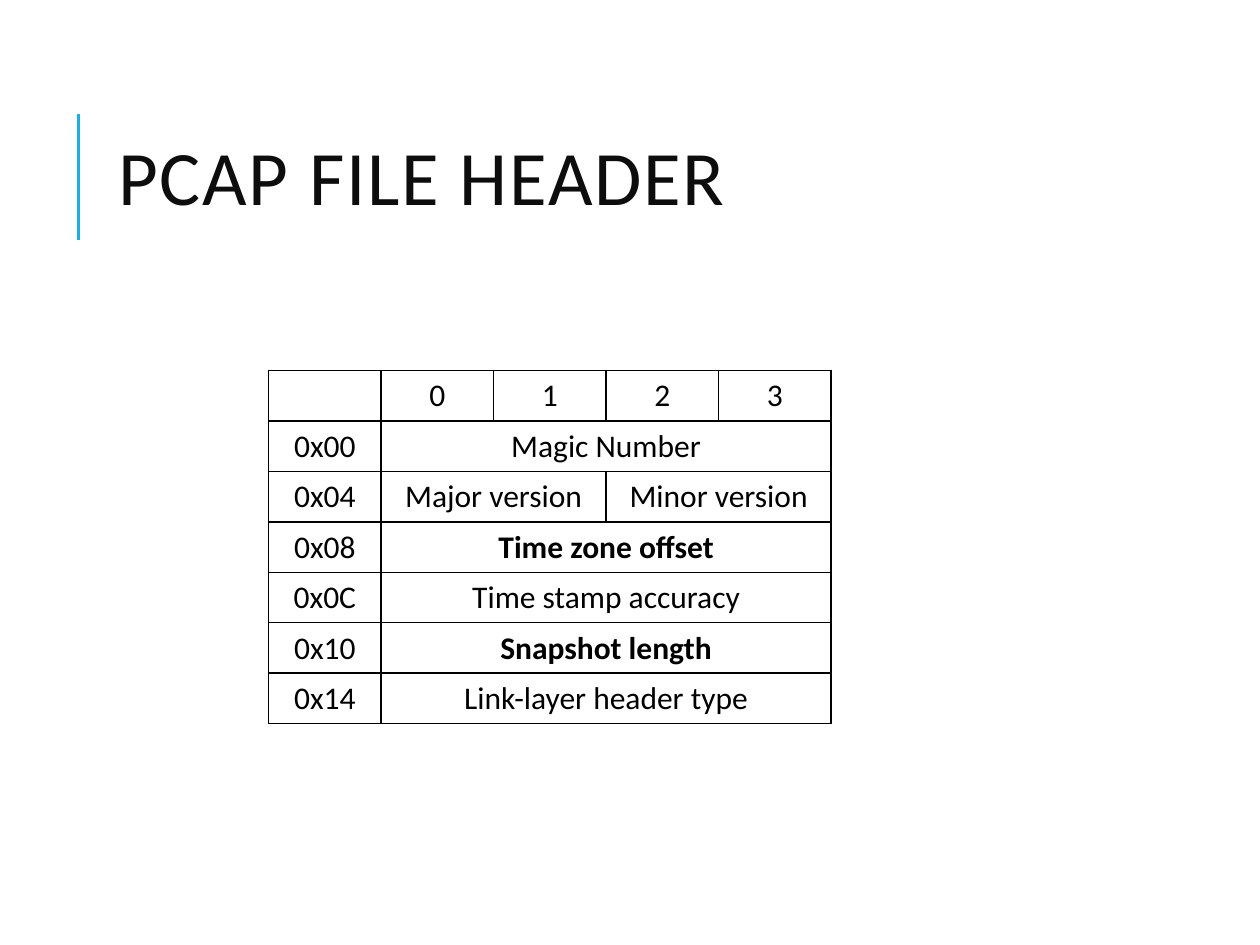
import lxml.etree
import pptx
import pptx.dml.color
import pptx.enum.shapes
import pptx.enum.text
import pptx.oxml.ns
import pptx.util

Pt = pptx.util.Pt
qn = pptx.oxml.ns.qn

COLORS = {"accent": "1CADE4", "title": "0D0D0D", "ink": "000000"}
FONT = "Calibri"

BYTES_PER_ROW = 4
COLUMN_WIDTH = 64.3
ROW_HEIGHT = 28.8

# Each row: offset label, then (text, width in bytes, bold) for each field.
HEADER_ROWS = [
    ("", [(str(byte), 1, False) for byte in range(BYTES_PER_ROW)]),
    ("0x00", [("Magic Number", 4, False)]),
    ("0x04", [("Major version", 2, False), ("Minor version", 2, False)]),
    ("0x08", [("Time zone offset", 4, True)]),
    ("0x0C", [("Time stamp accuracy", 4, False)]),
    ("0x10", [("Snapshot length", 4, True)]),
    ("0x14", [("Link-layer header type", 4, False)]),
]


def rgb(name):
    return pptx.dml.color.RGBColor.from_string(COLORS[name])


class SlideBuilder:
    """Holds the style and the slide that elements are added to."""

    def __init__(self, slide, font):
        self.slide = slide
        self.font = font

    def style_runs(self, paragraph, size, color, bold=False):
        for run in paragraph.runs:
            run.font.name = self.font
            run.font.size = Pt(size)
            run.font.bold = bold
            run.font.color.rgb = rgb(color)

    def rule(self, x, top, bottom):
        line = self.slide.shapes.add_connector(
            pptx.enum.shapes.MSO_CONNECTOR.STRAIGHT, Pt(x), Pt(bottom), Pt(x), Pt(top))
        line.line.color.rgb = rgb("accent")
        line.line.width = Pt(1.5)
        lxml.etree.SubElement(line._element.spPr, qn("a:effectLst"))

    def title(self, text, left, top, width, height):
        frame = self.slide.shapes.add_textbox(
            Pt(left), Pt(top), Pt(width), Pt(height)).text_frame
        frame.word_wrap = True
        frame.vertical_anchor = pptx.enum.text.MSO_ANCHOR.MIDDLE
        frame.text = text
        heading = frame.paragraphs[0]
        heading.line_spacing = 0.8
        self.style_runs(heading, 44, "title")
        heading.runs[0]._r.get_or_add_rPr().set("spc", "100")

    def border(self, cell):
        properties = cell._tc.get_or_add_tcPr()
        for side in ("a:lnL", "a:lnR", "a:lnT", "a:lnB"):
            edge = lxml.etree.SubElement(properties, qn(side), w=str(Pt(1)))
            fill = lxml.etree.SubElement(edge, qn("a:solidFill"))
            lxml.etree.SubElement(fill, qn("a:srgbClr"), val=COLORS["ink"])

    def fill_cell(self, cell, text, bold=False):
        cell.text = text
        paragraph = cell.text_frame.paragraphs[0]
        paragraph.alignment = pptx.enum.text.PP_ALIGN.CENTER
        self.style_runs(paragraph, 18, "ink", bold)

    def byte_table(self, rows, left, top):
        """Draw a byte layout: an offset column, then fields spanning bytes."""
        columns = BYTES_PER_ROW + 1
        table = self.slide.shapes.add_table(
            len(rows), columns, Pt(left), Pt(top),
            Pt(COLUMN_WIDTH * columns), Pt(ROW_HEIGHT * len(rows))).table
        table.first_row = False
        table.horz_banding = False
        for cell in table.iter_cells():
            self.border(cell)
            cell.fill.background()
        for row, (offset, fields) in enumerate(rows):
            self.fill_cell(table.cell(row, 0), offset)
            column = 1
            for text, span, bold in fields:
                cell = table.cell(row, column)
                if span > 1:
                    cell.merge(table.cell(row, column + span - 1))
                self.fill_cell(cell, text, bold)
                column += span


def main():
    presentation = pptx.Presentation()
    presentation.slide_width = Pt(720)
    presentation.slide_height = Pt(540)
    slide = presentation.slides.add_slide(presentation.slide_layouts[6])
    builder = SlideBuilder(slide, FONT)
    builder.rule(44.8, 65, 137)
    builder.title("PCAP FILE HEADER", 60.5, 46, 574, 118)
    builder.byte_table(HEADER_ROWS, 153.5, 211.7)
    presentation.save("out.pptx")


if __name__ == "__main__":
    main()
